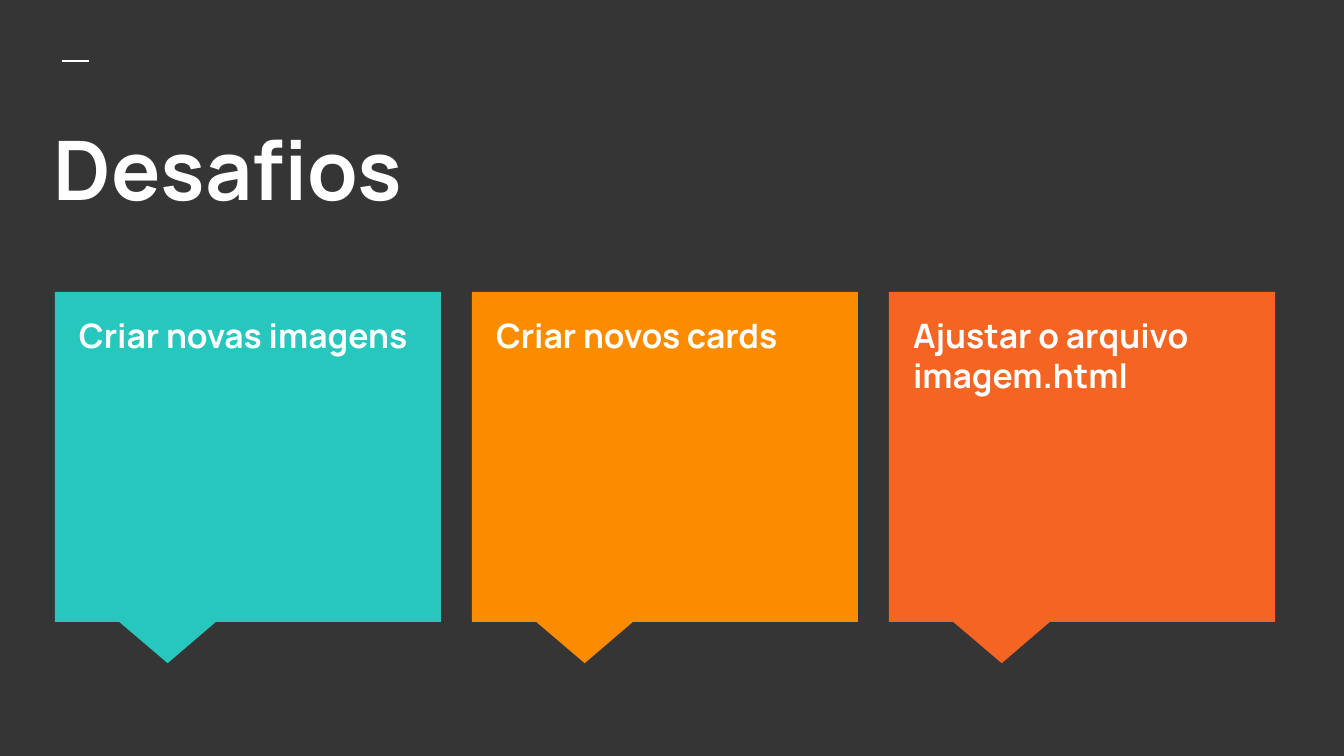
from pptx import Presentation
from pptx.dml.color import RGBColor
from pptx.enum.shapes import MSO_CONNECTOR as CONN, MSO_SHAPE as SHAPE
from pptx.enum.text import MSO_ANCHOR as ANCHOR
from pptx.oxml.ns import qn
from pptx.util import Pt
from lxml import etree

PX = 914400 / 134.4
DARK = RGBColor(0x35, 0x35, 0x35)
WHITE = RGBColor(0xFF, 0xFF, 0xFF)
TEAL = RGBColor(0x27, 0xC7, 0xBD)
AMBER = RGBColor(0xFB, 0x8C, 0x00)
ORANGE = RGBColor(0xF4, 0x65, 0x24)

CARDS = [
    ("Criar novas imagens", TEAL),
    ("Criar novos cards", AMBER),
    ("Ajustar o arquivo imagem.html", ORANGE),
]


def emu(*lengths):
    return [round(n * PX) for n in lengths]


def add_text(s, box, text, size, after=0):
    tf = s.shapes.add_textbox(*emu(*box)).text_frame
    inset = emu(13)[0]
    frame = {"word_wrap": True, "vertical_anchor": ANCHOR.TOP,
             "margin_left": inset, "margin_right": inset,
             "margin_top": inset, "margin_bottom": inset}
    for name, value in frame.items():
        setattr(tf, name, value)
    p = tf.paragraphs[0]
    p.space_after = Pt(after)
    r = p.add_run()
    r.text = text
    for name, value in {"name": "Manrope", "size": Pt(size), "bold": True}.items():
        setattr(r.font, name, value)
    r.font.color.rgb = WHITE


def add_header(s, x, y, w, h):
    # Short accent line
    line = s.shapes.add_connector(CONN.STRAIGHT, *emu(x + 21, y, x + 48, y))
    line.line.color.rgb = WHITE
    line.line.width = Pt(1.5)
    etree.SubElement(line._element.spPr, qn("a:effectLst"))
    # Title
    add_text(s, (x, y + 44, w, h - 44), "Desafios", 44)


def add_card(s, x, y, w, h, text, color):
    # Callout with its pointer at the lower left
    sp = s.shapes.add_shape(SHAPE.RECTANGULAR_CALLOUT, *emu(x, y, w, h))
    sp.adjustments[0] = -0.208
    sp.adjustments[1] = 0.625
    sp.shadow.inherit = False
    sp.fill.solid()
    sp.fill.fore_color.rgb = color
    sp.line.fill.background()
    # Card text
    add_text(s, (x + 11, y + 10, w - 22, h - 35), text, 18, after=12)


def add_cards(s, x, y, w, h, gap=31):
    card_w = (w - gap * (len(CARDS) - 1)) // len(CARDS)
    for i, (text, color) in enumerate(CARDS):
        add_card(s, x + i * (card_w + gap), y, card_w, h, text, color)


def main():
    prs = Presentation()
    prs.slide_width, prs.slide_height = emu(1344, 756)
    s = prs.slides.add_slide(prs.slide_layouts[6])
    s.background.fill.solid()
    s.background.fill.fore_color.rgb = DARK
    add_header(s, 41, 61, 1293, 194)
    add_cards(s, 55, 292, 1220, 330)
    prs.save("out.pptx")


if __name__ == "__main__":
    main()
